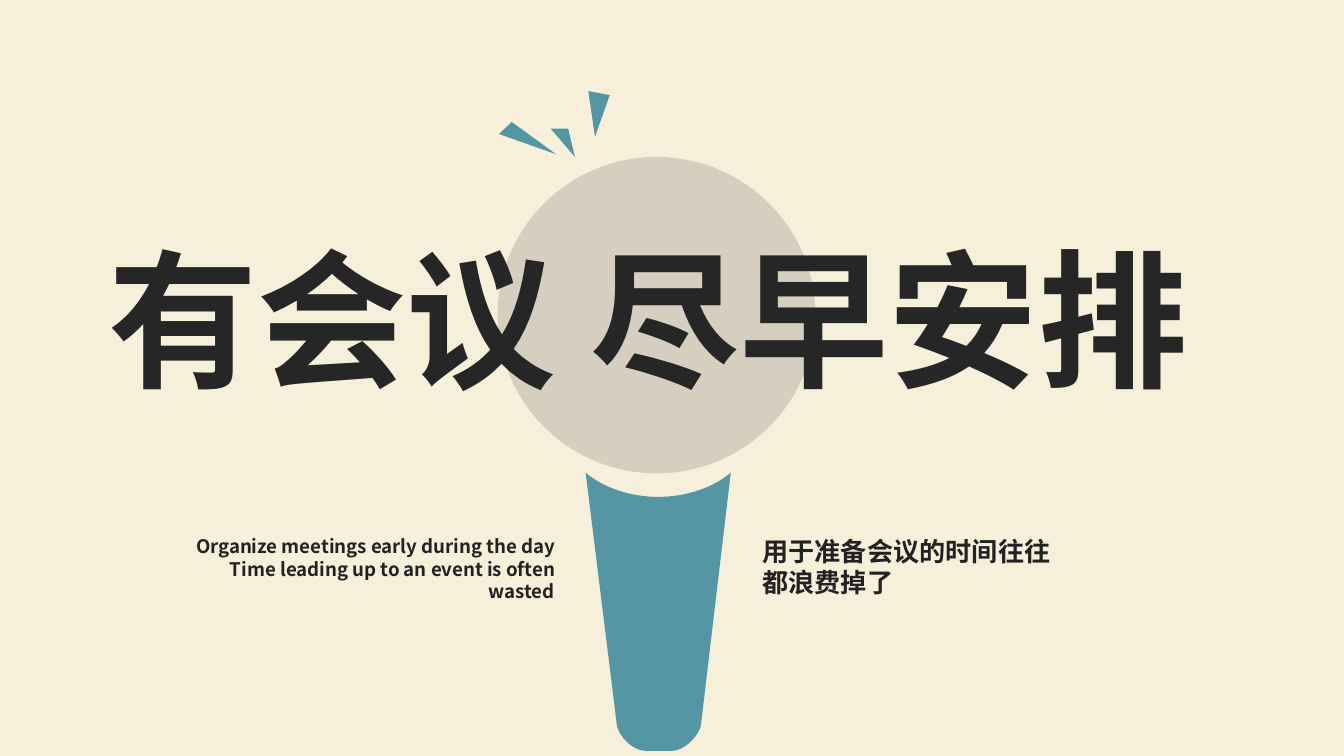
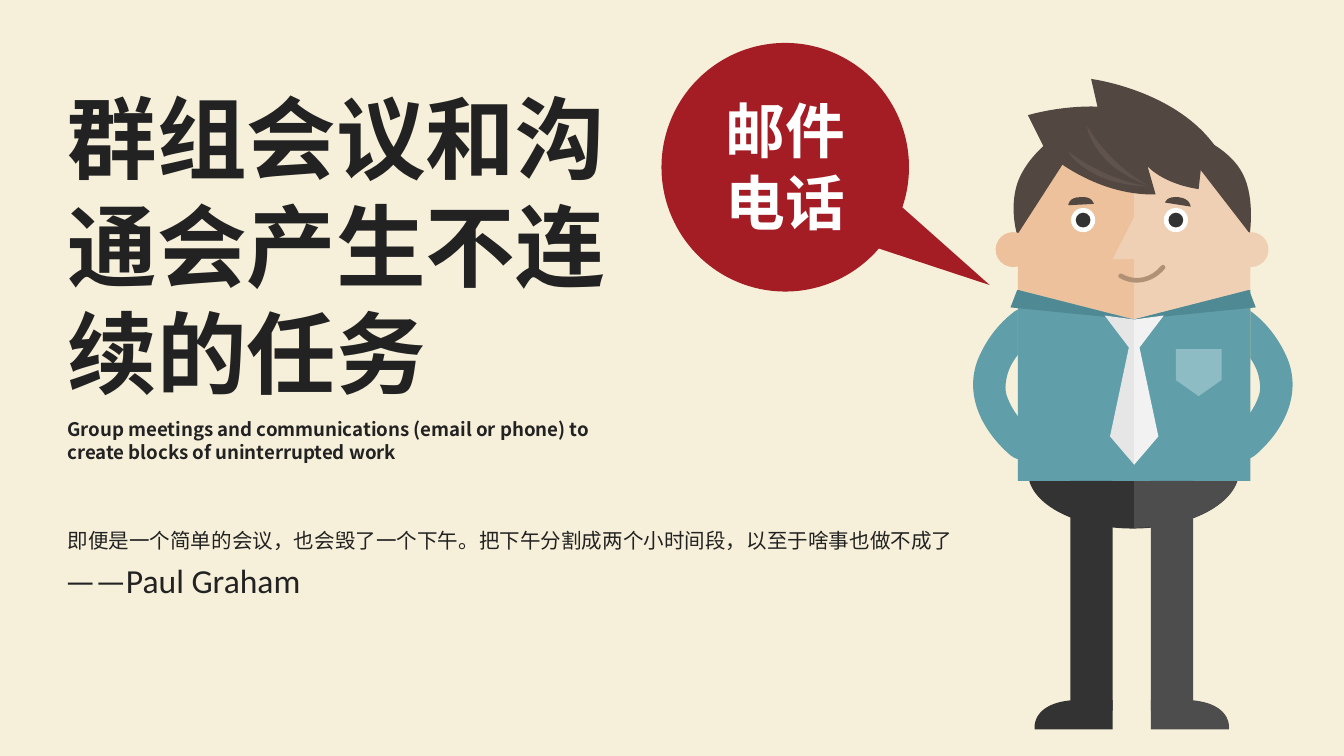
from collections import namedtuple
from dataclasses import dataclass

from lxml.etree import SubElement
from pptx import Presentation
from pptx.dml.color import RGBColor
from pptx.enum.shapes import MSO_SHAPE
from pptx.enum.text import MSO_AUTO_SIZE, PP_ALIGN
from pptx.oxml.ns import qn
from pptx.util import Pt

Box = namedtuple("Box", "left top width height")

CREAM, INK, TITLE_INK, WHITE = "F6F0DA", "222222", "262626", "FFFFFF"
TEAL, STONE, RED = "5496A4", "D6CFBF", "A41C24"
SKIN, LIGHT_SKIN, LIPS = "ECC19C", "F0D0B4", "B19175"
HAIR, STRAND = "534741", "60524C"
SHIRT, COLLAR, POCKET = "609EA9", "4F8993", "8DBCC5"
TROUSERS, LIGHT_TROUSERS = "333333", "4D4D4D"
TIE, LIGHT_TIE = "E6E6E6", "F2F2F2"

CJK_FONT = "Noto Sans CJK SC"


def bold(size):
    """Return the format of a bold heading or caption."""
    return {"size": Pt(size), "name": CJK_FONT, "bold": True}


def plain(size):
    """Return the format of quoted text."""
    return {"size": Pt(size), "name": "Calibri", "bold": False}


def colour(hex_value):
    """Turn a hex string into a colour."""
    return RGBColor.from_string(hex_value)


def paint(shape, fill):
    """Give a shape a flat fill without line or shadow."""
    shape.shadow.inherit = False
    shape.fill.solid()
    shape.fill.fore_color.rgb = colour(fill)
    shape.line.fill.background()


def mirror(outline, axis=0):
    """Reflect an outline about a vertical axis."""
    return [
        tuple(2 * axis - value if index % 2 == 0 else value for index, value in enumerate(step))
        for step in outline
    ]


def bend(shape, steps):
    """Join the three segments of each six-value step into one cubic curve."""
    segments = iter(list(shape._element.iter(qn("a:lnTo"))))
    for step in steps[1:]:
        curve = next(segments)
        if len(step) == 6:
            curve.tag = qn("a:cubicBezTo")
            for segment in (next(segments), next(segments)):
                curve.append(segment[0])
                segment.getparent().remove(segment)


@dataclass
class Canvas:
    """A grid in a box, with x counted from its centre and y from its top."""

    shapes: object
    box: Box
    rows: int

    def place(self, x, y):
        """Convert a grid point to slide lengths."""
        unit = self.box.height / self.rows
        centre = self.box.left + self.box.width / 2
        return Pt(centre + x * unit), Pt(self.box.top + y * unit)

    def outline(self, steps, fill):
        """Draw a closed outline of line steps (x, y) and cubic steps (six values)."""
        vertices = [
            self.place(*step[index:index + 2])
            for step in steps for index in range(0, len(step), 2)
        ]
        builder = self.shapes.build_freeform(*vertices[0])
        builder.add_line_segments(vertices[1:], close=True)
        shape = builder.convert_to_shape()
        bend(shape, steps)
        paint(shape, fill)

    def pair(self, steps, fill, mirror_fill, axis=0):
        """Draw an outline and its reflection."""
        self.outline(steps, fill)
        self.outline(mirror(steps, axis), mirror_fill)

    def preset(self, kind, x, y, width, height, fill):
        """Draw a preset shape."""
        left, top = self.place(x, y)
        right, bottom = self.place(x + width, y + height)
        paint(self.shapes.add_shape(kind, left, top, right - left, bottom - top), fill)


def add_slide(presentation):
    """Add a blank slide with the shared background."""
    slide = presentation.slides.add_slide(presentation.slide_layouts[6])
    slide.background.fill.solid()
    slide.background.fill.fore_color.rgb = colour(CREAM)
    return slide


def add_text(shapes, box, lines, font_format, ink=INK, wrap=True, **paragraph_format):
    """Add a text box with one paragraph for each line."""
    frame = shapes.add_textbox(*map(Pt, box)).text_frame
    frame.word_wrap = wrap
    frame.auto_size = MSO_AUTO_SIZE.SHAPE_TO_FIT_TEXT
    for index, line in enumerate(lines):
        paragraph = frame.add_paragraph() if index else frame.paragraphs[0]
        for name, value in paragraph_format.items():
            setattr(paragraph, name, value)
        run = paragraph.add_run()
        run.text = line
        for name, value in font_format.items():
            setattr(run.font, name, value)
        run.font.color.rgb = colour(ink)
        SubElement(run.font._element, qn("a:ea")).set("typeface", CJK_FONT)


def draw_microphone(slide, box):
    """Draw the handle and head of the microphone."""
    canvas = Canvas(slide.shapes.add_group_shape().shapes, box, 491)
    handle = [
        (1, 302), (-20, 302, -40, 295, -53, 284), (-30, 470),
        (-30, 478, -19, 491, -8, 491), (11, 491),
        (21, 491, 33, 478, 33, 470), (55, 284), (42, 295, 22, 302, 1, 302),
    ]
    canvas.outline(handle, TEAL)
    canvas.preset(MSO_SHAPE.OVAL, -118.5, 49, 236.5, 235.5, STONE)


def draw_sparks(slide, box):
    """Draw the sparks above the microphone."""
    canvas = Canvas(slide.shapes, box, 491)
    sparks = (
        [(-61, 49), (-79, 28), (-66, 28)],
        [(-108, 23), (-117.5, 32), (-75, 47)],
        [(-46, 34), (-51, 0), (-35, 3)],
    )
    for spark in sparks:
        canvas.outline(spark, TEAL)


def draw_body(canvas):
    """Draw the arms, hips, face, torso, legs and shoes."""
    arm = [
        (-89, 173), (-101, 182, -110, 194, -116, 208),
        (-127, 235, -113, 262, -92, 280), (-87, 284, -80, 285, -75, 280),
        (-70, 276, -70, 267, -75, 263), (-84, 255, -91, 247, -95, 235),
        (-96, 231, -96, 228, -95, 223), (-94, 217, -91, 211, -87, 206),
        (-84, 201, -80, 197, -77, 194), (-72, 190, -69, 184, -73, 178),
        (-76, 173, -84, 169, -89, 173),
    ]
    hip = [(0, 251), (0, 334), (43, 334, 78, 315, 78, 292), (78, 269, 43, 251, 0, 251)]
    face = [
        (0, 33), (0, 293), (0, 293, -81, 295, -86.5, 210), (-86.5, 112), (-82, 26, 0, 33, 0, 33),
    ]
    torso = [(-86.5, 157), (0, 179), (0, 299), (-86.5, 299)]
    shoe = [(-36, 462), (-16, 462), (-16, 484), (-74, 484), (-74, 484, -78, 461, -36, 462)]
    canvas.pair(arm, SHIRT, SHIRT, axis=-1)
    canvas.preset(MSO_SHAPE.OVAL, -79, 251, 156, 83.5, TROUSERS)
    canvas.outline(hip, LIGHT_TROUSERS)
    canvas.pair(face, SKIN, LIGHT_SKIN)
    canvas.pair(torso, SHIRT, SHIRT)
    for x, fill in ((-47.5, TROUSERS), (12.5, LIGHT_TROUSERS)):
        canvas.preset(MSO_SHAPE.RECTANGLE, x, 299, 31.5, 171, fill)
    canvas.pair(shoe, TROUSERS, LIGHT_TROUSERS, axis=-1.75)


def draw_head(canvas):
    """Draw the hair, nose, eyes, brows, ears and smile."""
    locks = (
        [(61, 51), (31, 8, -32, 0, -32, 0), (-24, 35), (-24, 35, 36, 46, 61, 51)],
        [(24, 33), (-21, 9, -79, 27, -79, 27), (-65, 55), (-65, 55, 1, 40, 24, 33)],
        [(-65, 55), (-65, 55, -30, 87, 16, 86), (10, 65), (10, 65, 21, 78, 48, 82),
         (51, 55), (58, 51), (-3, 31)],
        [(-64, 47), (-64, 47, -81, 60, -87, 78), (-93, 97, -87, 116, -87, 116), (-47, 54)],
        [(50, 44), (50, 44, 72, 53, 81, 71), (90, 89, 86, 115, 86, 115), (38, 53)],
    )
    brows = (
        [(-49, 94), (-30, 93), (-30, 93, -31, 87, -40, 88), (-49, 88, -49, 94, -49, 94)],
        [(23, 92), (42, 95), (42, 95, 42, 89, 33, 88), (24, 87, 23, 92, 23, 92)],
    )
    strands = (
        [(-49, 54), (-49, 54, -46, 62, -29, 71), (-12, 80, 10, 80, 11, 80),
         (-23, 75, -49, 54, -49, 54)],
        [(-35, 35), (-35, 35, -35, 44, -23, 58), (-10, 73, 11, 79, 12, 80),
         (-19, 64, -35, 35, -35, 35)],
    )
    smile = [
        (-11, 148), (1, 155, 15, 151, 23, 141), (24, 140, 22, 137, 20, 139),
        (13, 148, 1, 151, -9, 145), (-11, 144, -13, 147, -11, 148),
    ]
    for lock in locks:
        canvas.outline(lock, HAIR)
    canvas.outline([(1, 101), (-16, 134), (1, 134)], LIGHT_SKIN)
    for x in (-47, 22):
        canvas.preset(MSO_SHAPE.OVAL, x, 96, 18, 18, WHITE)
        canvas.preset(MSO_SHAPE.OVAL, x + 3.5, 99.5, 11, 11, TROUSERS)
    for brow in brows:
        canvas.outline(brow, HAIR)
    for x, fill in ((74, LIGHT_SKIN), (-103, SKIN)):
        canvas.preset(MSO_SHAPE.OVAL, x, 114, 26, 26, fill)
    canvas.outline(smile, LIPS)
    for strand in strands:
        canvas.outline(strand, STRAND)


def draw_clothes(canvas):
    """Draw the collar, pocket and tie."""
    canvas.pair([(-87, 157), (-92, 170), (-1, 179)], COLLAR, COLLAR, axis=-0.75)
    canvas.outline([(31, 201), (65, 201), (65, 224), (48, 236), (31, 224)], POCKET)
    canvas.pair([(0, 179), (0, 205), (-22, 176)], TIE, LIGHT_TIE)
    canvas.pair([(0, 200), (-4, 200), (-18, 266), (0, 287)], TIE, LIGHT_TIE)


def draw_man(slide, box):
    """Draw the standing man."""
    canvas = Canvas(slide.shapes.add_group_shape().shapes, box, 484)
    draw_body(canvas)
    draw_head(canvas)
    draw_clothes(canvas)


def draw_speech_bubble(slide, box, lines):
    """Draw the speech bubble with its words in the middle."""
    shapes = slide.shapes.add_group_shape().shapes
    bubble = shapes.add_shape(MSO_SHAPE.OVAL_CALLOUT, *map(Pt, box))
    bubble.adjustments[0], bubble.adjustments[1] = 0.826, 0.474
    paint(bubble, RED)
    inset = 23.9
    words = Box(box.left + inset, box.top + inset, box.width - 2 * inset, box.height - 2 * inset)
    add_text(shapes, words, lines, bold(32), WHITE, alignment=PP_ALIGN.CENTER)


def build_meeting_slide(presentation):
    """Build the slide about arranging meetings early."""
    slide = add_slide(presentation)
    microphone = Box(266.6, 48.8, 170.6, 353.5)
    add_text(slide.shapes, Box(87.5, 283.2, 216.7, 44.6),
             ["Organize meetings early during the day Time leading up to an event is often wasted"],
             bold(10), alignment=PP_ALIGN.RIGHT)
    add_text(slide.shapes, Box(401.4, 283.3, 172.8, 41), ["用于准备会议的时间往往都浪费掉了"], bold(14))
    draw_microphone(slide, microphone)
    add_text(slide.shapes, Box(50.9, 118.1, 604.1, 104.4), ["有会议 尽早安排"],
             bold(80), TITLE_INK, wrap=False)
    draw_sparks(slide, microphone)


def build_interruption_slide(presentation):
    """Build the slide about interrupted work."""
    slide = add_slide(presentation)
    left, width = 29.1, 302.4
    add_text(slide.shapes, Box(left, 220.5, width, 31.7),
             ["Group meetings and communications (email or phone) to "
              "create blocks of uninterrupted work"], bold(10))
    add_text(slide.shapes, Box(27.8, 301.7, 142.6, 24.5), ["——Paul Graham"],
             plain(18), wrap=False, line_spacing=Pt(16.5))
    add_text(slide.shapes, Box(left, 276.1, 496, 24.5),
             ["即便是一个简单的会议，也会毁了一个下午。把下午分割成两个小时间段，以至于啥事也做不成了"],
             plain(11), line_spacing=Pt(16.5))
    add_text(slide.shapes, Box(left, 41.1, width, 181.4), ["群组会议和沟通会产生不连续的任务"], bold(48))
    draw_speech_bubble(slide, Box(354.4, 23, 132.6, 133.2), ["邮件", "电话"])
    draw_man(slide, Box(521.2, 42.3, 172.8, 348.5))


def main():
    """Build and save the presentation."""
    presentation = Presentation()
    presentation.slide_width, presentation.slide_height = Pt(720), Pt(405)
    build_meeting_slide(presentation)
    build_interruption_slide(presentation)
    presentation.save("out.pptx")


if __name__ == "__main__":
    main()
